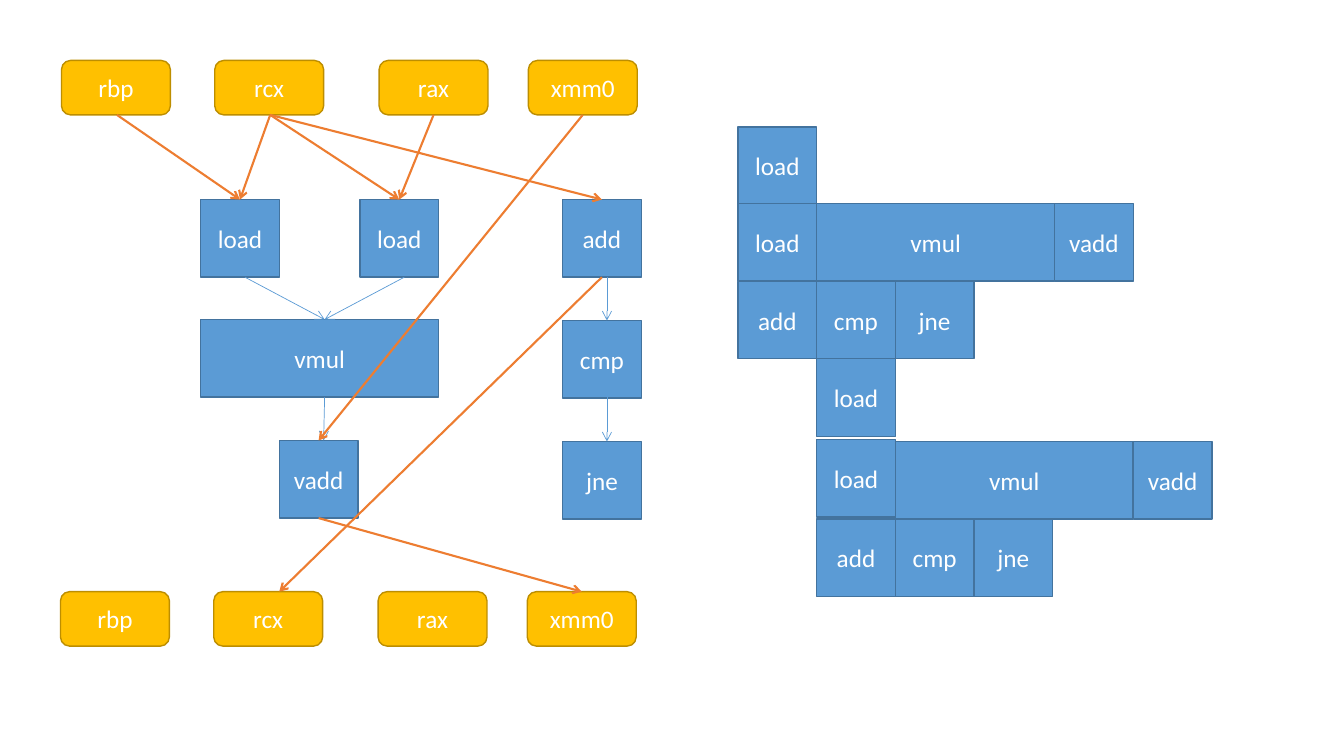
"""Build a slide with a loop's dataflow graph beside its pipelined schedule."""
import pptx
import pptx.util
import pptx.dml.color
import pptx.enum.shapes
import pptx.enum.text
import pptx.oxml
import pptx.oxml.ns

Inches = pptx.util.Inches
SIDE, HIGH, WIDE = 0.78, 0.77, 2.36
BLUE, EDGE, GOLD, RIM, RUST = "5B9BD5", "43739E", "FFC000", "BD8E00", "ED7D31"
KINDS = pptx.enum.shapes.MSO_SHAPE

deck = pptx.Presentation()
deck.slide_width, deck.slide_height = Inches(13.33), Inches(7.5)
slide = deck.slides.add_slide(deck.slide_layouts[6])


def color(code):
    return pptx.dml.color.RGBColor.from_string(code)


def block(text, left, top, width=SIDE, height=HIGH, kind=KINDS.RECTANGLE,
          fill=BLUE, edge=EDGE, size=18, font="Calibri", ink="FFFFFF"):
    shape = slide.shapes.add_shape(
        kind, Inches(left), Inches(top), Inches(width), Inches(height))
    shape.shadow.inherit = False
    shape.fill.solid()
    shape.fill.fore_color.rgb = color(fill)
    shape.line.color.rgb = color(edge)
    shape.line.width = pptx.util.Pt(1)
    frame = shape.text_frame
    frame.word_wrap = True
    frame.margin_left = frame.margin_right = 0
    frame.vertical_anchor = pptx.enum.text.MSO_ANCHOR.MIDDLE
    para = frame.paragraphs[0]
    para.alignment = pptx.enum.text.PP_ALIGN.CENTER
    run = para.add_run()
    run.text = text
    run.font.size = pptx.util.Pt(size)
    run.font.name = font
    run.font.color.rgb = color(ink)


graph = [("load", 1.99, 1.98), ("load", 3.57, 1.98), ("vmul", 1.99, 3.17),
         ("vadd", 2.77, 4.37), ("add", 5.58, 1.98), ("cmp", 5.58, 3.18),
         ("jne", 5.58, 4.38)]
for name, left, top in graph:
    block(name, left, top, width=WIDE if name == "vmul" else SIDE)

stages = [(7.32, 1.26, ["load"]),
          (7.32, 2.02, ["load", "vmul", "vadd"]),
          (7.32, 2.79, ["add", "cmp", "jne"]),
          (8.1, 3.56, ["load"]),
          (8.1, 4.36, ["load"]),
          (8.88, 4.38, ["vmul", "vadd"]),
          (8.1, 5.15, ["add", "cmp", "jne"])]
for left, top, names in stages:
    for name in names:
        width = WIDE if name == "vmul" else SIDE
        block(name, left, top, width=width)
        left += width

for start, top in [(0.61, 0.6), (0.6, 5.87)]:
    for name, shift in [("rbp", 0), ("rcx", 1.52), ("rax", 3.15), ("xmm0", 4.63)]:
        block(name, start + shift, top, width=1.08, height=0.54,
              kind=KINDS.ROUNDED_RECTANGLE, fill=GOLD, edge=RIM)

inner = [(2.43, 2.75, 3.22, 3.17), (4.01, 2.75, 3.22, 3.17),
         (3.22, 3.94, 3.21, 4.37), (6.02, 2.75, 6.02, 3.18),
         (6.02, 3.94, 6.02, 4.38)]
outer = [(1.16, 1.14, 2.38, 1.98), (2.68, 1.14, 2.38, 1.98),
         (4.3, 1.14, 3.96, 1.98), (2.68, 1.14, 3.96, 1.98),
         (3.16, 5.14, 5.77, 5.87), (5.78, 1.14, 3.16, 4.37),
         (5.97, 2.75, 2.77, 5.87), (2.68, 1.14, 5.97, 1.98)]
for ends, shade, weight in [(inner, BLUE, 0.5), (outer, RUST, 1.5)]:
    for points in ends:
        arrow = slide.shapes.add_connector(
            pptx.enum.shapes.MSO_CONNECTOR.STRAIGHT, *map(Inches, points))
        arrow.line.color.rgb = color(shade)
        arrow.line.width = pptx.util.Pt(weight)
        props = arrow.line._get_or_add_ln()
        tip = pptx.oxml.parse_xml(
            f'<a:tailEnd {pptx.oxml.ns.nsdecls("a")} type="arrow"/>')
        props.append(tip)
        props.addnext(pptx.oxml.parse_xml(
            f'<a:effectLst {pptx.oxml.ns.nsdecls("a")}/>'))

deck.save("out.pptx")
